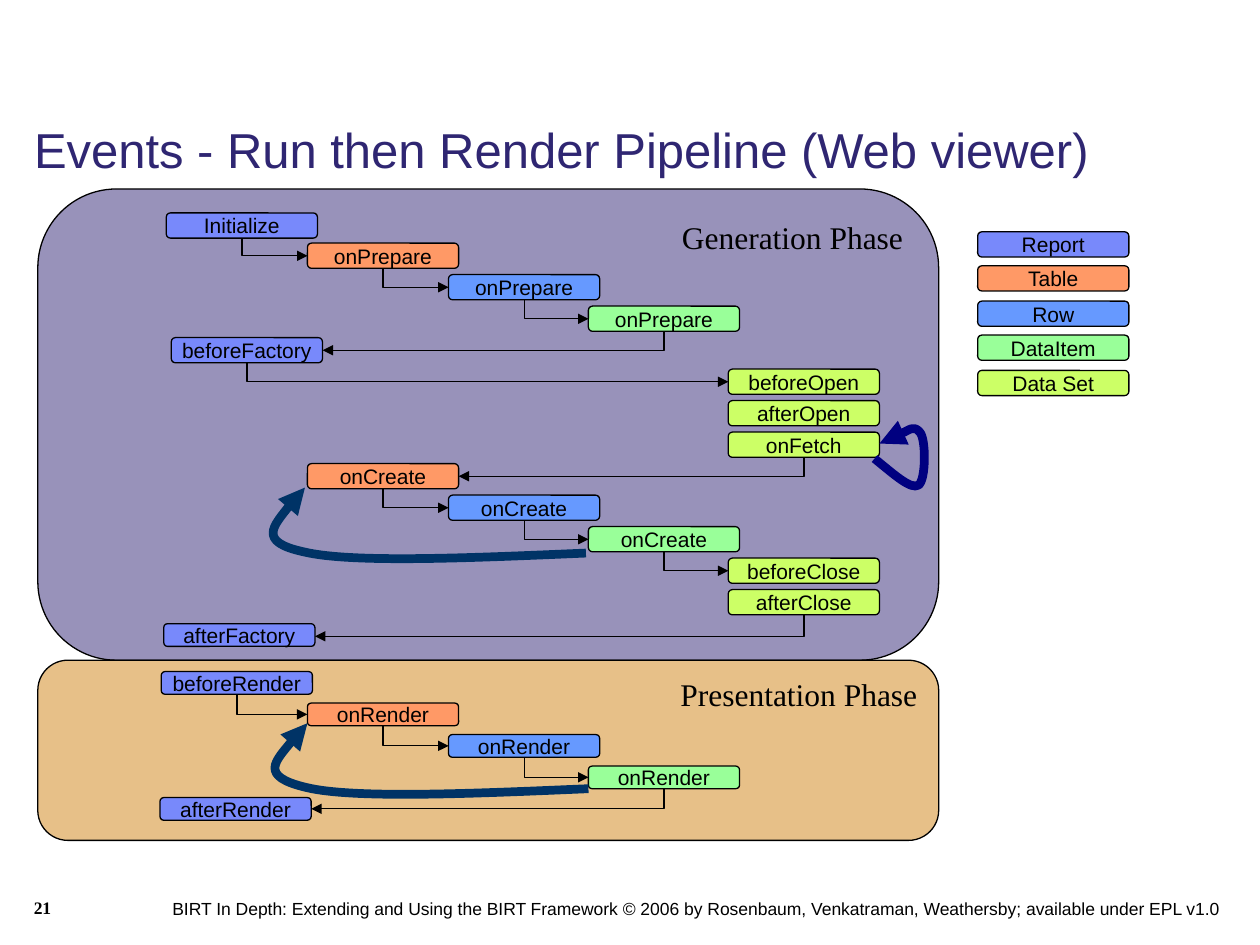
from itertools import pairwise

from lxml import etree
from pptx import Presentation
from pptx import util as u
from pptx.dml.color import RGBColor
from pptx.enum import shapes, text
from pptx.oxml.ns import qn

PX = 9144  # EMU per px, 100 px to the inch

BLACK = RGBColor(0x00, 0x00, 0x00)
INDIGO = RGBColor(0x2F, 0x26, 0x72)
PURPLE = RGBColor(0x32, 0x27, 0x77)
AMBER = RGBColor(0xD1, 0x82, 0x13)
TEAL = RGBColor(0x00, 0x33, 0x66)
NAVY = RGBColor(0x00, 0x00, 0x80)

# Kind of event: fill and left edge of its column
KINDS = {
    "Report": (RGBColor(0x78, 0x89, 0xFB), 132),
    "Table": (RGBColor(0xFF, 0x99, 0x66), 244),
    "Row": (RGBColor(0x66, 0x99, 0xFF), 356),
    "DataItem": (RGBColor(0x99, 0xFF, 0x99), 467),
    "Data Set": (RGBColor(0xCC, 0xFF, 0x66), 578),
}
BOX_W = 120

# Events in order: label, kind, shift from the column
GENERATION = [
    ("Initialize", "Report", 0),
    ("onPrepare", "Table", 0),
    ("onPrepare", "Row", 0),
    ("onPrepare", "DataItem", 0),
    ("beforeFactory", "Report", 4),
    ("beforeOpen", "Data Set", 0),
    ("afterOpen", "Data Set", 0),
    ("onFetch", "Data Set", 0),
    ("onCreate", "Table", 0),
    ("onCreate", "Row", 0),
    ("onCreate", "DataItem", 0),
    ("beforeClose", "Data Set", 0),
    ("afterClose", "Data Set", 0),
    ("afterFactory", "Report", -2),
]
RENDER = [
    ("beforeRender", "Report", -4),
    ("onRender", "Table", 0),
    ("onRender", "Row", 0),
    ("onRender", "DataItem", 0),
    ("afterRender", "Report", -5),
]

# Loop arrows: start point, then three points per curve
RENDER_LOOP = [(467, 626), (373, 630), (280, 634), (243, 625),
               (205, 616), (225, 595), (244, 574)]
CREATE_LOOP = [(465, 439), (371, 443), (278, 447), (241, 438),
               (204, 430), (223, 408), (242, 387)]
FETCH_LOOP = [(694, 364), (709, 376), (723, 389), (729, 385), (735, 381),
              (735, 348), (730, 343), (725, 337), (703, 350), (698, 352)]


def place(x, y, w, h):
    return [u.Emu(v * PX) for v in (x, y, w, h)]


def write(frame, words, size, font="Arial", color=BLACK, bold=False,
          align=text.PP_ALIGN.LEFT, anchor=text.MSO_ANCHOR.TOP, wrap=True):
    frame.word_wrap = wrap
    frame.vertical_anchor = anchor
    frame.margin_left = frame.margin_right = u.Inches(0.1)
    frame.margin_top = frame.margin_bottom = u.Inches(0.05)
    para = frame.paragraphs[0]
    para.alignment = align
    run = para.add_run()
    run.text = words
    run.font.size = u.Pt(size)
    run.font.name = font
    run.font.bold = bold
    run.font.color.rgb = color
    return para


def add_block(slide, form, area, fill):
    block = slide.shapes.add_shape(form, *place(*area))
    block.shadow.inherit = False
    block.fill.solid()
    block.fill.fore_color.rgb = fill
    block.line.color.rgb = BLACK
    block.line.width = u.Pt(0.75)
    return block


def add_phase(slide, words, area, fill):
    panel = add_block(slide, shapes.MSO_SHAPE.ROUNDED_RECTANGLE, area, fill)
    panel.adjustments[0] = 0.167
    tint = panel._element.spPr.find(qn("a:solidFill"))[0]
    etree.SubElement(tint, qn("a:alpha")).set("val", "50000")
    write(panel.text_frame, words, 18, "Times New Roman",
          align=text.PP_ALIGN.RIGHT, wrap=False)


def add_event(slide, words, fill, x, y, h):
    box = add_block(slide, shapes.MSO_SHAPE.FLOWCHART_ALTERNATE_PROCESS,
                    (x, y, BOX_W, h), fill)
    write(box.text_frame, words, 12, align=text.PP_ALIGN.CENTER,
          anchor=text.MSO_ANCHOR.MIDDLE, wrap=False)
    return box


def add_head(line):
    node = line._get_or_add_ln()
    etree.SubElement(node, qn("a:tailEnd")).set("type", "triangle")


def link(slide, start, end):
    """Run an arrow down from start, then sideways into end."""
    right = end.left > start.left
    wire = slide.shapes.add_connector(shapes.MSO_CONNECTOR.ELBOW, 0, 0, 0, 0)
    wire.begin_connect(start, 2)
    wire.end_connect(end, 1 if right else 3)
    wide, tall = wire.width, wire.height
    mid_x, mid_y = wire.left + wide // 2, wire.top + tall // 2

    # A single bend lies on its side, so width and height swap
    props = wire._element.spPr
    props.find(qn("a:prstGeom")).set("prst", "bentConnector2")
    frame = props.find(qn("a:xfrm"))
    frame.set("rot", "16200000" if right else "5400000")
    frame.set("flipH", "1" if right else "0")
    frame.set("flipV", "0")
    wire.left, wire.top = mid_x - tall // 2, mid_y - wide // 2
    wire.width, wire.height = tall, wide

    wire.line.color.rgb = BLACK
    wire.line.width = u.Pt(0.75)
    add_head(wire.line)
    etree.SubElement(props, qn("a:effectLst"))


def add_chain(slide, events, tops, h):
    boxes = []
    for (words, kind, shift), y in zip(events, tops):
        fill, x = KINDS[kind]
        boxes.append((kind, add_event(slide, words, fill, x + shift, y, h)))
    for (kind, box), (other, target) in pairwise(boxes):
        if kind != other:
            link(slide, box, target)
    return boxes


def add_loop(slide, points, color):
    maker = slide.shapes.build_freeform(*points[0], scale=PX)
    maker.add_line_segments(points[1:], close=False)
    loop = maker.convert_to_shape()
    # Turn each three line points into one curve
    route = next(loop._element.iter(qn("a:path")))
    lines = route.findall(qn("a:lnTo"))
    for i in range(0, len(lines), 3):
        curve = etree.SubElement(route, qn("a:cubicBezTo"))
        for line in lines[i:i + 3]:
            curve.append(line[0])
            route.remove(line)
    loop.shadow.inherit = False
    loop.fill.background()
    loop.line.color.rgb = color
    loop.line.width = u.Pt(5)
    add_head(loop.line)


def add_note(slide, words, area, **style):
    note = slide.shapes.add_textbox(*place(*area))
    write(note.text_frame, words, 10, **style)


def main():
    deck = Presentation()
    deck.slide_width, deck.slide_height = u.Inches(10), u.Inches(7.5)
    slide = deck.slides.add_slide(deck.slide_layouts[5])

    # Title
    title = slide.shapes.title
    title.left, title.top, title.width, title.height = place(17, 95, 902, 55)
    para = write(title.text_frame, "Events - Run then Render Pipeline (Web viewer)",
                 28, color=INDIGO)
    para.line_spacing = 0.9
    title.text_frame.auto_size = text.MSO_AUTO_SIZE.NONE

    # Generation phase; the last event sits a little lower
    add_phase(slide, "Generation Phase", (30, 150, 715, 374), PURPLE)
    tops = [169 + i * 299 // 12 for i in range(13)] + [495]
    boxes = add_chain(slide, GENERATION, tops, 20)
    boxes[-1][1].height = u.Emu(18 * PX)

    # Legend
    for i, (kind, (fill, _)) in enumerate(KINDS.items()):
        add_event(slide, kind, fill, 776, 184 + i * 55 // 2, 20)

    # Presentation phase
    add_phase(slide, "Presentation Phase", (30, 524, 715, 143), AMBER)
    add_chain(slide, RENDER, range(533, 634, 25), 18)

    # Repeated events
    add_loop(slide, RENDER_LOOP, TEAL)
    add_loop(slide, CREATE_LOOP, TEAL)
    add_loop(slide, FETCH_LOOP, NAVY)

    # Footer
    add_note(slide, "BIRT In Depth: Extending and Using the BIRT Framework © 2006 by "
             "Rosenbaum, Venkatraman, Weathersby; available under EPL v1.0",
             (127, 708, 873, 27))
    add_note(slide, "21", (17, 707, 110, 35), font="Times New Roman", bold=True)

    deck.save("out.pptx")


if __name__ == "__main__":
    main()
